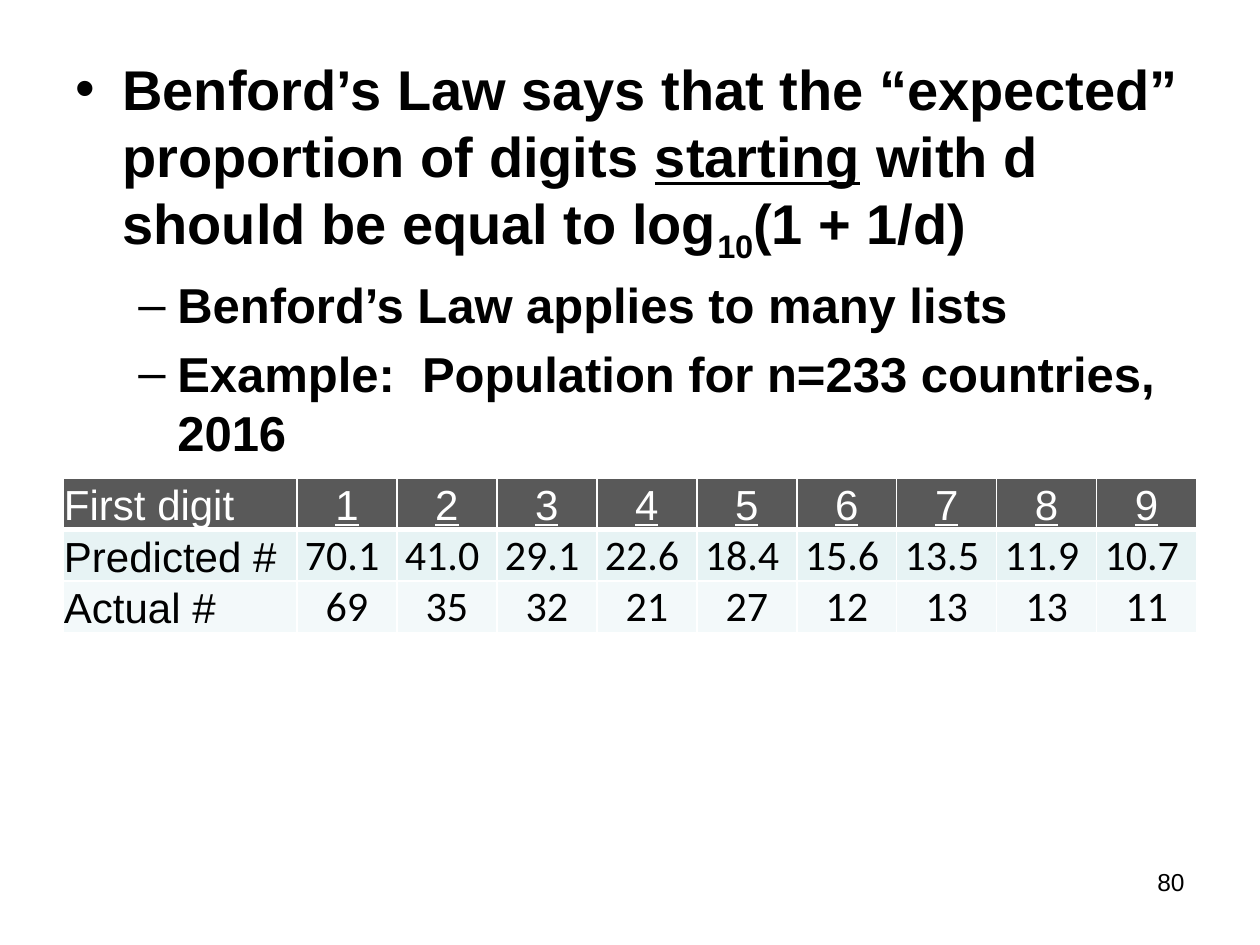
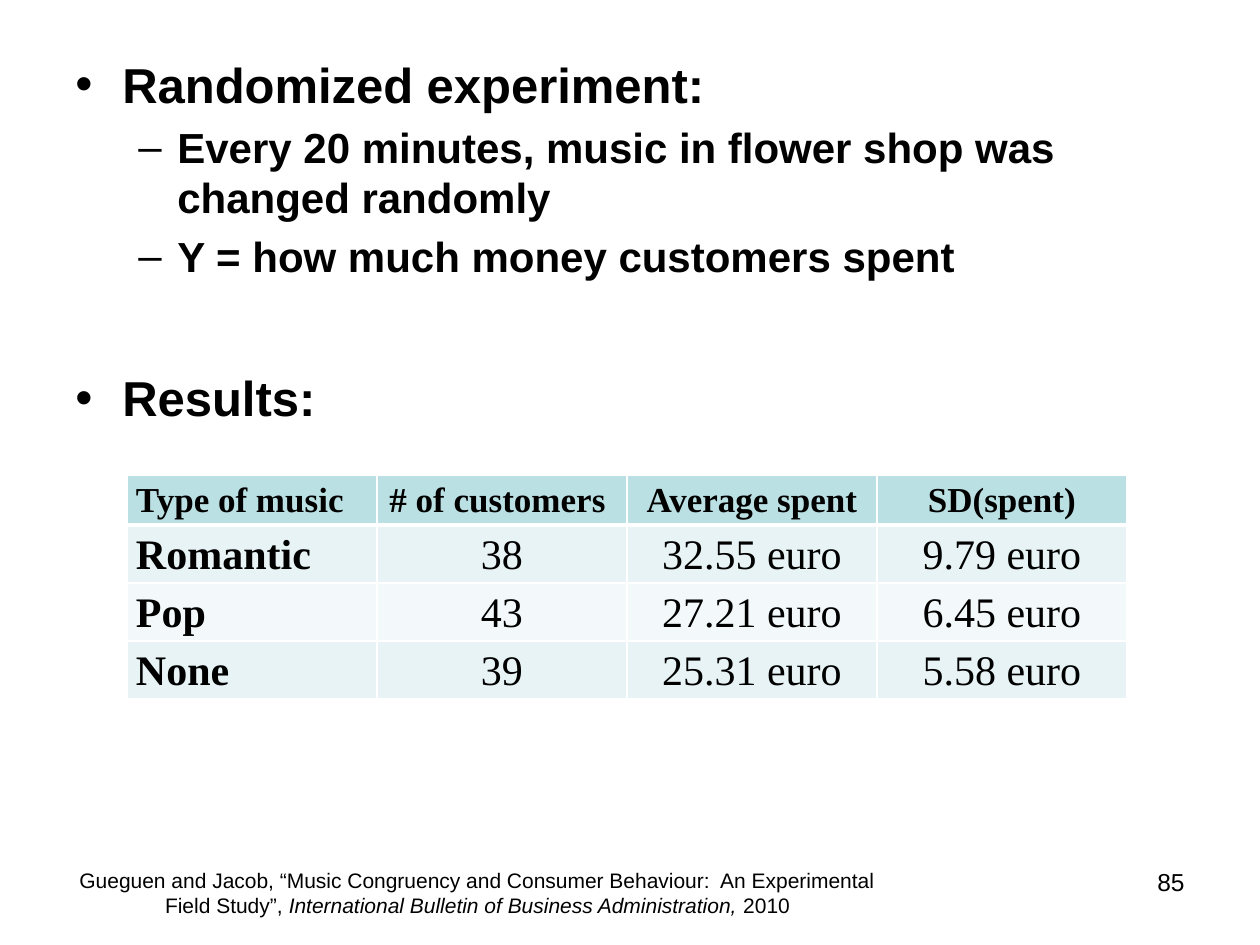
from lxml.etree import SubElement
from pptx import Presentation
from pptx.dml.color import RGBColor
from pptx.enum.text import MSO_ANCHOR, PP_ALIGN
from pptx.oxml.ns import qn
from pptx.util import Emu, Pt

PX = 914400 / 126
BLACK, WHITE = "000000", "FFFFFF"
HEADER_GREY, HEADER_TEAL = "595959", "BBE0E3"
BANDS = ["E7F3F4", "F3F9FA"]
SANS, SERIF, NUMBERS = "Arial", "Times New Roman", "Calibri"

BODY_BOX = (63, 48, 1134, 803)
PAGE_BOX = (903, 861, 294, 66)
CITATION_BOX = (63, 861, 829, 63)
BULLETS = [("•", 47, 47), ("–", 102, 39)]  # sign, indent, hang


def px(length):
    return Emu(round(length * PX))


def color(value):
    return RGBColor.from_string(value)


def add_run(paragraph, text, size, font=SANS, ink=BLACK, bold=False,
            italic=False, underline=False, baseline=0):
    run = paragraph.add_run()
    run.text = text
    run.font.size = Pt(size)
    run.font.name = font
    run.font.color.rgb = color(ink)
    run.font.bold = bold
    run.font.italic = italic
    run.font.underline = underline
    if baseline:
        run.font._element.set("baseline", str(baseline * 1000))


def add_text_box(slide, box):
    shape = slide.shapes.add_textbox(*map(px, box))
    shape.text_frame.word_wrap = True
    return shape


def add_bullet(paragraph, level):
    sign, indent, hang = BULLETS[level]
    properties = paragraph._p.get_or_add_pPr()
    properties.set("marL", str(px(indent)))
    properties.set("indent", str(-px(hang)))
    SubElement(properties, qn("a:buFont"), typeface=SANS)
    SubElement(properties, qn("a:buChar"), char=sign)


def add_body(slide, box, items):
    """Each item is (level, size, extra space above, runs)."""
    shape = add_text_box(slide, box)
    shape.fill.solid()
    shape.fill.fore_color.rgb = color(WHITE)
    fill_color = shape._element.spPr.find(".//" + qn("a:srgbClr"))
    SubElement(fill_color, qn("a:alpha"), val="90000")
    frame = shape.text_frame
    for index, (level, size, extra, runs) in enumerate(items):
        paragraph = frame.add_paragraph() if index else frame.paragraphs[0]
        paragraph.level = level
        paragraph.space_before = Pt(0.2 * size + extra)
        add_bullet(paragraph, level)
        for text, style in runs:
            add_run(paragraph, text, size, bold=True, **style)


def add_page_number(slide, number):
    paragraph = add_text_box(slide, PAGE_BOX).text_frame.paragraphs[0]
    paragraph.alignment = PP_ALIGN.RIGHT
    add_run(paragraph, number, 14)


def add_citation(slide, box, runs):
    frame = add_text_box(slide, box).text_frame
    frame.vertical_anchor = MSO_ANCHOR.MIDDLE
    paragraph = frame.paragraphs[0]
    paragraph.alignment = PP_ALIGN.CENTER
    for text, italic in runs:
        add_run(paragraph, text, 12, italic=italic)


def add_borders(cell, bottom_width):
    properties = cell._tc.get_or_add_tcPr()
    for side, width in (("L", 1), ("R", 1), ("T", 1), ("B", bottom_width)):
        line = SubElement(properties, qn(f"a:ln{side}"), w=str(Pt(width)))
        fill = SubElement(line, qn("a:solidFill"))
        SubElement(fill, qn("a:srgbClr"), val=WHITE)


def add_data_table(slide, origin, widths, heights, rows, header_fill,
                   margins, anchor, line_spacing, text_style):
    """text_style(row, column) gives the run settings of a cell."""
    box = (*origin, sum(widths), sum(heights))
    table = slide.shapes.add_table(
        len(rows), len(widths), *map(px, box)).table
    table.horz_banding = False
    for column, width in zip(table.columns, widths):
        column.width = px(width)
    for r, values in enumerate(rows):
        table.rows[r].height = px(heights[r])
        for c, text in enumerate(values):
            cell = table.cell(r, c)
            (cell.margin_left, cell.margin_top,
             cell.margin_right, cell.margin_bottom) = map(px, margins)
            cell.vertical_anchor = anchor
            add_borders(cell, 1 if r else 3)
            cell.fill.solid()
            cell.fill.fore_color.rgb = color(
                BANDS[(r - 1) % 2] if r else header_fill)
            paragraph = cell.text_frame.paragraphs[0]
            paragraph.alignment = PP_ALIGN.CENTER if c else PP_ALIGN.LEFT
            paragraph.line_spacing = line_spacing
            add_run(paragraph, text, **text_style(r, c))


def digit_style(row, column):
    return dict(size=24, font=NUMBERS if row and column else SANS,
                ink=BLACK if row else WHITE,
                underline=row == 0 and column > 0)


def music_style(row, column):
    return dict(size=24 if row else 20, font=SERIF,
                bold=row == 0 or column == 0)


def build_benford_slide(slide):
    add_body(slide, BODY_BOX, [
        (0, 32, 0, [
            ("Benford’s Law says that the “expected” proportion of digits ", {}),
            ("starting", {"underline": True}),
            (" with d should be equal to log", {}),
            ("10", {"baseline": -25}),
            ("(1 + 1/d)", {})]),
        (1, 28, 0, [("Benford’s Law applies to many lists", {})]),
        (1, 28, 0, [("Example:  Population for n=233 countries, 2016", {})]),
    ])
    add_page_number(slide, "80")
    predicted = [70.1, 41.0, 29.1, 22.6, 18.4, 15.6, 13.5, 11.9, 10.7]
    actual = [69, 35, 32, 21, 27, 12, 13, 13, 11]
    rows = [
        ["First digit", *map(str, range(1, 10))],
        ["Predicted #", *(f"{value} " for value in predicted)],
        ["Actual #", *map(str, actual)],
    ]
    add_data_table(slide, (63, 478), [234] + [100] * 9, [51] * 3, rows,
                   HEADER_GREY, (1, 1, 1, 0), MSO_ANCHOR.BOTTOM, 1.0,
                   digit_style)


def build_music_slide(slide):
    add_citation(slide, CITATION_BOX, [
        ("Gueguen and Jacob, “Music Congruency and Consumer Behaviour:  "
         "An Experimental Field Study”, ", False),
        ("International Bulletin of Business Administration,", True),
        (" 2010", False),
    ])
    add_body(slide, BODY_BOX, [
        (0, 28, 0, [("Randomized experiment:", {})]),
        (1, 24, 0, [("Every 20 minutes, music in flower shop was changed "
                     "randomly", {})]),
        (1, 24, 0, [("Y = how much money customers spent", {})]),
        (0, 28, 44, [("Results:", {})]),
    ])
    add_page_number(slide, "85")
    rows = [
        ["Type of music", "# of customers ", "Average spent", "SD(spent)"],
        ["Romantic", "38", "32.55 euro", "9.79 euro"],
        ["Pop", "43", "27.21 euro", "6.45 euro"],
        ["None", "39", "25.31 euro", "5.58 euro"],
    ]
    add_data_table(slide, (127, 475), [250] * 4, [50] + [58] * 3, rows,
                   HEADER_TEAL, (9, 0, 9, 0), MSO_ANCHOR.TOP, 1.15,
                   music_style)


def main():
    presentation = Presentation()
    presentation.slide_width = px(1260)
    presentation.slide_height = px(945)
    blank = presentation.slide_layouts[6]
    for build in (build_benford_slide, build_music_slide):
        build(presentation.slides.add_slide(blank))
    presentation.save("out.pptx")


if __name__ == "__main__":
    main()
